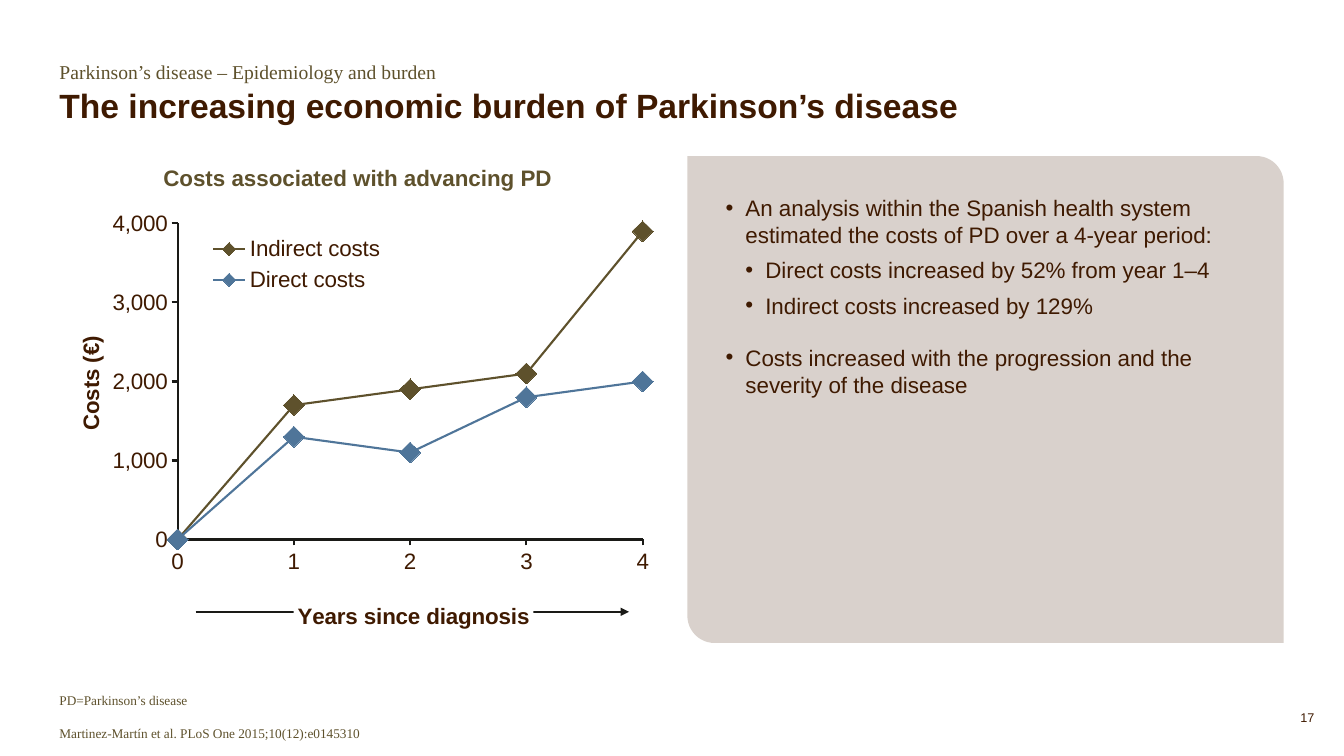
import pptx
import pptx.chart.data
import pptx.dml.color
import pptx.enum.chart
import pptx.enum.shapes
import pptx.enum.text
import pptx.oxml
import pptx.oxml.ns
import pptx.util
from lxml import etree

Pt = pptx.util.Pt
qn = pptx.oxml.ns.qn
ALIGN = pptx.enum.text.PP_ALIGN
ANCHOR = pptx.enum.text.MSO_ANCHOR
COLORS = {
    "brown": "3F1A01", "olive": "5E512C", "blue": "4F7599",
    "panel": "D9D1CC", "axis": "1A1A17", "white": "FFFFFF",
}
YEARS = ["0", "1", "2", "3", "4"]
COSTS = [
    ("Indirect costs", "olive", [0, 1700, 1900, 2100, 3900]),
    ("Direct costs", "blue", [0, 1300, 1100, 1800, 2000]),
]
FINDINGS = [
    (0, 0, "An analysis within the Spanish health system estimated the costs of PD over a 4-year period:"),
    (1, 6, "Direct costs increased by 52% from year 1–4"),
    (1, 6, "Indirect costs increased by 129%"),
    (0, 18, "Costs increased with the progression and the severity of the disease"),
]


def rgb(name):
    """Return the named color."""
    return pptx.dml.color.RGBColor.from_string(COLORS[name])


def style_font(font, size, color="brown", bold=False, name="Arial"):
    """Apply face, size, color and weight to a font."""
    font.name, font.size, font.bold = name, Pt(size), bold
    font.color.rgb = rgb(color)


def set_frame(frame, inset=0, anchor=ANCHOR.TOP):
    """Wrap a text frame and set its insets and anchor."""
    frame.word_wrap = True
    frame.auto_size = pptx.enum.text.MSO_AUTO_SIZE.NONE
    frame.vertical_anchor = anchor
    frame.margin_left = frame.margin_right = Pt(inset)
    frame.margin_top = frame.margin_bottom = Pt(inset)


def place(shape, box):
    """Move and size a shape in points."""
    shape.left, shape.top, shape.width, shape.height = map(Pt, box)


def add_text(slide, box, lines, size, color, name="Arial", bold=False,
             align=ALIGN.LEFT, anchor=ANCHOR.TOP, gap=0):
    """Add a text box with one paragraph per line."""
    frame = slide.shapes.add_textbox(*map(Pt, box)).text_frame
    set_frame(frame, anchor=anchor)
    for index, line in enumerate(lines):
        paragraph = frame.paragraphs[0] if index == 0 else frame.add_paragraph()
        paragraph.text = line
        paragraph.alignment = align
        paragraph.space_before = Pt(gap if index else 0)
        style_font(paragraph.font, size, color, bold, name)


def set_title(slide, text):
    """Fill and format the title placeholder."""
    title = slide.shapes.title
    place(title, (42.5, 64, 726, 26))
    set_frame(title.text_frame, anchor=ANCHOR.BOTTOM)
    paragraph = title.text_frame.paragraphs[0]
    paragraph.text = text
    paragraph.alignment = ALIGN.LEFT
    paragraph.line_spacing = 0.9
    style_font(paragraph.font, 24, bold=True)


def add_findings_panel(slide):
    """Add the rounded panel with the bulleted findings."""
    panel = slide.shapes.add_shape(
        pptx.enum.shapes.MSO_SHAPE.ROUND_2_DIAG_RECTANGLE,
        *map(Pt, (491, 111.5, 426, 347.8)))
    panel.adjustments[0], panel.adjustments[1] = 0, 0.056
    panel.shadow.inherit = False
    panel.fill.solid()
    panel.fill.fore_color.rgb = rgb("panel")
    panel.line.fill.background()
    frame = panel.text_frame
    set_frame(frame, inset=21.6)
    for index, (level, gap, text) in enumerate(FINDINGS):
        paragraph = frame.paragraphs[0] if index == 0 else frame.add_paragraph()
        paragraph.text = text
        paragraph.level = level
        paragraph.alignment = ALIGN.LEFT
        paragraph.space_before = Pt(gap)
        properties = paragraph._p.get_or_add_pPr()
        properties.set("marL", str(Pt(14.2 * (level + 1))))
        properties.set("indent", str(-Pt(14.2)))
        etree.SubElement(properties, qn("a:buFont")).set("typeface", "Arial")
        etree.SubElement(properties, qn("a:buChar")).set("char", "•")
        style_font(paragraph.font, 16)


def add_arrow(slide, start, end):
    """Add a straight arrow between two points."""
    arrow = slide.shapes.add_connector(
        pptx.enum.shapes.MSO_CONNECTOR.STRAIGHT, *map(Pt, start + end))
    arrow.line.color.rgb = rgb("axis")
    arrow.line.width = Pt(1.5)
    etree.SubElement(arrow.line._get_or_add_ln(), qn("a:tailEnd")).set("type", "triangle")
    etree.SubElement(arrow._element.spPr, qn("a:effectLst"))


def set_layout(element, index, inner=False, **fractions):
    """Place a chart part by fractions of the chart frame."""
    for old in element.findall(qn("c:layout")):
        element.remove(old)
    layout = pptx.oxml.parse_xml(
        '<c:layout xmlns:c="http://schemas.openxmlformats.org/drawingml/2006/chart"/>')
    element.insert(index, layout)
    manual = etree.SubElement(layout, qn("c:manualLayout"))
    settings = [("layoutTarget", "inner")] if inner else []
    settings += [("xMode", "edge"), ("yMode", "edge")] + list(fractions.items())
    for tag, value in settings:
        etree.SubElement(manual, qn("c:" + tag)).set("val", str(value))


def style_axis(axis, title, x, y):
    """Format an axis and place its title."""
    axis.has_major_gridlines = False
    axis.major_tick_mark = pptx.enum.chart.XL_TICK_MARK.OUTSIDE
    axis.minor_tick_mark = pptx.enum.chart.XL_TICK_MARK.NONE
    axis.format.line.color.rgb = rgb("axis")
    axis.format.line.width = Pt(1.5)
    style_font(axis.tick_labels.font, 16)
    paragraph = axis.axis_title.text_frame.paragraphs[0]
    paragraph.text = title
    style_font(paragraph.font, 16, bold=True)
    axis.axis_title.format.fill.solid()
    axis.axis_title.format.fill.fore_color.rgb = rgb("white")
    set_layout(axis.axis_title._element, 1, x=x, y=y)


def add_cost_chart(slide):
    """Add the line chart of costs by year."""
    data = pptx.chart.data.CategoryChartData(number_format="#,##0")
    data.categories = YEARS
    for name, _, values in COSTS:
        data.add_series(name, values)
    chart = slide.shapes.add_chart(
        pptx.enum.chart.XL_CHART_TYPE.LINE_MARKERS,
        *map(Pt, (43.2, 146.2, 427, 307.4)), data).chart
    chart.has_title = False
    style_font(chart.font, 16)
    space = chart._chartSpace
    background = pptx.oxml.parse_xml(
        '<c:spPr xmlns:c="http://schemas.openxmlformats.org/drawingml/2006/chart" '
        'xmlns:a="http://schemas.openxmlformats.org/drawingml/2006/main">'
        '<a:noFill/><a:ln><a:noFill/></a:ln></c:spPr>')
    space.find(qn("c:chart")).addnext(background)
    set_layout(space.find(".//" + qn("c:plotArea")), 0, inner=True,
               x=0.196, y=0.044, w=0.778, h=0.74)
    style_axis(chart.category_axis, "Years since diagnosis", 0.39, 0.92)
    value_axis = chart.value_axis
    style_axis(value_axis, "Costs (€)", 0.02, 0.3)
    value_axis.minimum_scale, value_axis.maximum_scale = 0, 4000
    value_axis.major_unit = 1000
    value_axis.tick_labels.number_format = "#,##0"
    value_axis.tick_labels.number_format_is_linked = False
    crossing = etree.SubElement(value_axis._element, qn("c:crossBetween"))
    crossing.set("val", "midCat")
    value_axis._element.find(qn("c:crosses")).addnext(crossing)
    chart.has_legend = True
    chart.legend.position = pptx.enum.chart.XL_LEGEND_POSITION.LEFT
    chart.legend.include_in_layout = True
    style_font(chart.legend.font, 16)
    set_layout(chart.legend._element, 1, x=0.24, y=0.06, w=0.31, h=0.16)
    chart.plots[0].vary_by_categories = False
    for series, (_, color, _) in zip(chart.plots[0].series, COSTS):
        series.smooth = False
        series.format.line.width = Pt(1.5)
        series.marker.style = pptx.enum.chart.XL_MARKER_STYLE.DIAMOND
        series.marker.size = 15
        series.marker.format.fill.solid()
        series.marker.format.fill.fore_color.rgb = rgb(color)
        for line in (series.format.line, series.marker.format.line):
            line.color.rgb = rgb(color)


def main():
    """Build and save the slide."""
    presentation = pptx.Presentation()
    presentation.slide_width, presentation.slide_height = Pt(960), Pt(540)
    slide = presentation.slides.add_slide(presentation.slide_layouts[5])
    add_arrow(slide, (139.7, 437), (449.3, 437))
    add_text(slide, (42.5, 42.5, 726, 21), ["Parkinson’s disease – Epidemiology and burden"],
             14, "olive", "Times New Roman")
    set_title(slide, "The increasing economic burden of Parkinson’s disease")
    add_findings_panel(slide)
    add_text(slide, (42.5, 480.2, 726, 49),
             ["PD=Parkinson’s disease", "Martinez-Martín et al. PLoS One 2015;10(12):e0145310"],
             9.5, "olive", "Times New Roman", anchor=ANCHOR.BOTTOM, gap=12)
    add_text(slide, (892, 507, 46.8, 12.2), ["17"], 9, "brown", align=ALIGN.RIGHT)
    add_cost_chart(slide)
    add_text(slide, (42.5, 113.8, 426, 26.6), ["Costs associated with advancing PD"],
             16, "olive", bold=True, align=ALIGN.CENTER, anchor=ANCHOR.MIDDLE)
    presentation.save("out.pptx")


if __name__ == "__main__":
    main()
